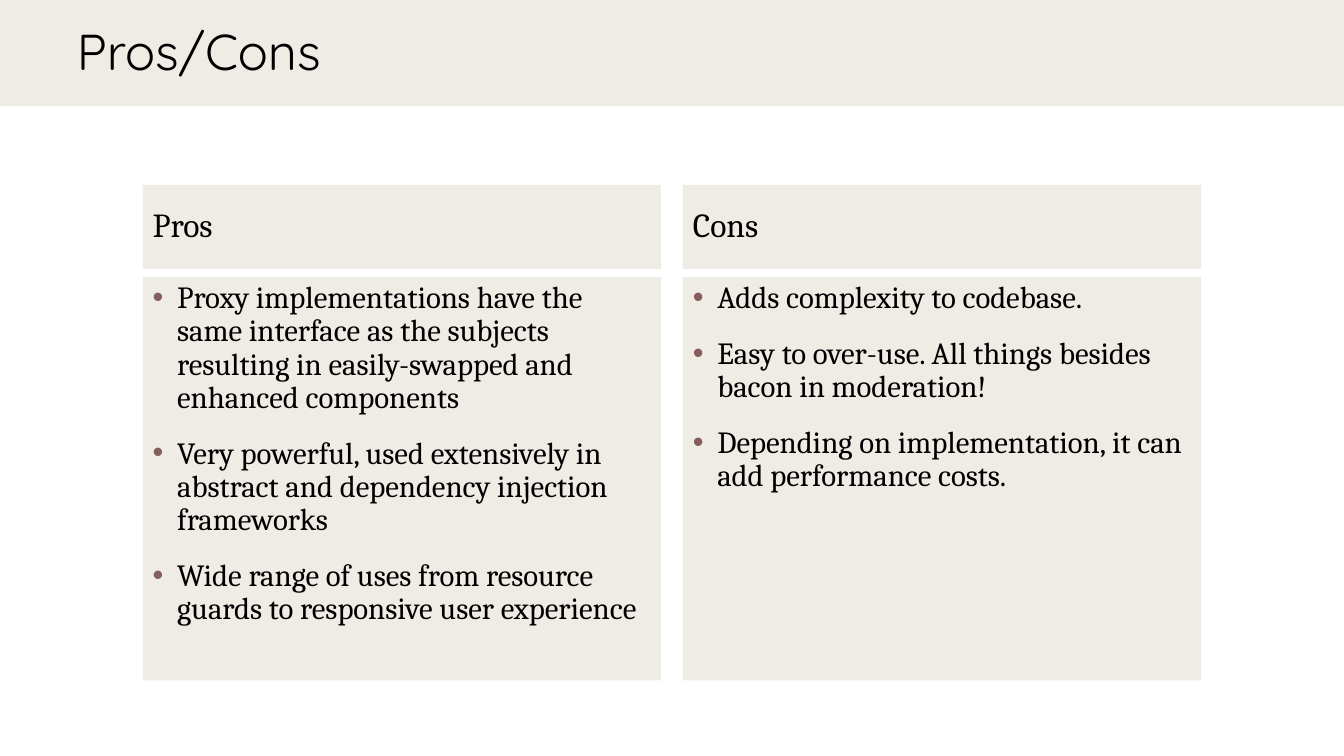
from dataclasses import dataclass
from lxml.etree import SubElement
from pptx import Presentation
from pptx.dml.color import RGBColor
from pptx.enum.shapes import MSO_SHAPE as Shape
from pptx.enum.text import MSO_ANCHOR as Anchor, PP_ALIGN as Align
from pptx.oxml.ns import qn
from pptx.util import Pt


@dataclass
class Theme:
    panel: str = "E9E5DC"
    panel_alpha: str = "70000"
    ink: str = "000000"
    bullet: str = "855D5D"
    title_font: str = "Quicksand"
    body_font: str = "Cambria"
    title_size: int = 36
    heading_size: int = 24
    point_size: int = 22


theme = Theme()
presentation = Presentation()
presentation.slide_width = Pt(960)
presentation.slide_height = Pt(540)
slide = presentation.slides.add_slide(presentation.slide_layouts[6])


def add_panel(left, top, width, height):
    panel = slide.shapes.add_shape(Shape.RECTANGLE, Pt(left), Pt(top), Pt(width), Pt(height))
    panel.shadow.inherit = False
    panel.line.fill.background()
    panel.fill.solid()
    panel.fill.fore_color.rgb = RGBColor.from_string(theme.panel)
    color = panel.fill._xPr.find(qn("a:solidFill"))[0]
    SubElement(color, qn("a:alpha"), val=theme.panel_alpha)
    return panel


def write(holder, text, font, size, anchor):
    frame = holder.text_frame
    frame.word_wrap = True
    frame.vertical_anchor = anchor
    frame.text = text
    for paragraph in frame.paragraphs:
        paragraph.alignment = Align.LEFT
        paragraph.line_spacing = 0.9
        for run in paragraph.runs:
            run.font.name = font
            run.font.size = Pt(size)
            run.font.color.rgb = RGBColor.from_string(theme.ink)
    return frame.paragraphs


add_panel(0, -2, 960, 77.8)
title = slide.shapes.add_textbox(Pt(47.8), Pt(0), Pt(911.5), Pt(77.8))
write(title, "Pros/Cons", theme.title_font, theme.title_size, Anchor.MIDDLE)

columns = {
    "Pros": [
        "Proxy implementations have the same interface as the subjects resulting in easily-swapped and enhanced components",
        "Very powerful, used extensively in abstract and dependency injection frameworks",
        "Wide range of uses from resource guards to responsive user experience",
    ],
    "Cons": [
        "Adds complexity to codebase.",
        "Easy to over-use. All things besides bacon in moderation!",
        "Depending on implementation, it can add performance costs.",
    ],
}
column_width, column_gap = 370.2, 15.6
first_left = (960 - 2 * column_width - column_gap) / 2

for index, (heading, points) in enumerate(columns.items()):
    left = first_left + index * (column_width + column_gap)
    heading_panel = add_panel(left, 132, column_width, 60)
    write(heading_panel, heading, theme.body_font, theme.heading_size, Anchor.MIDDLE)

    points_panel = add_panel(left, 198, column_width, 288)
    paragraphs = write(points_panel, "\n".join(points), theme.body_font, theme.point_size, Anchor.TOP)
    for paragraph in paragraphs:
        paragraph.space_before = Pt(16)
        properties = paragraph._p.get_or_add_pPr()
        properties.set("marL", str(Pt(17.5)))
        properties.set("indent", str(-Pt(17.5)))
        bullet_color = SubElement(properties, qn("a:buClr"))
        SubElement(bullet_color, qn("a:srgbClr"), val=theme.bullet)
        SubElement(properties, qn("a:buFont"), typeface="Arial")
        SubElement(properties, qn("a:buChar"), char="•")

presentation.save("out.pptx")
